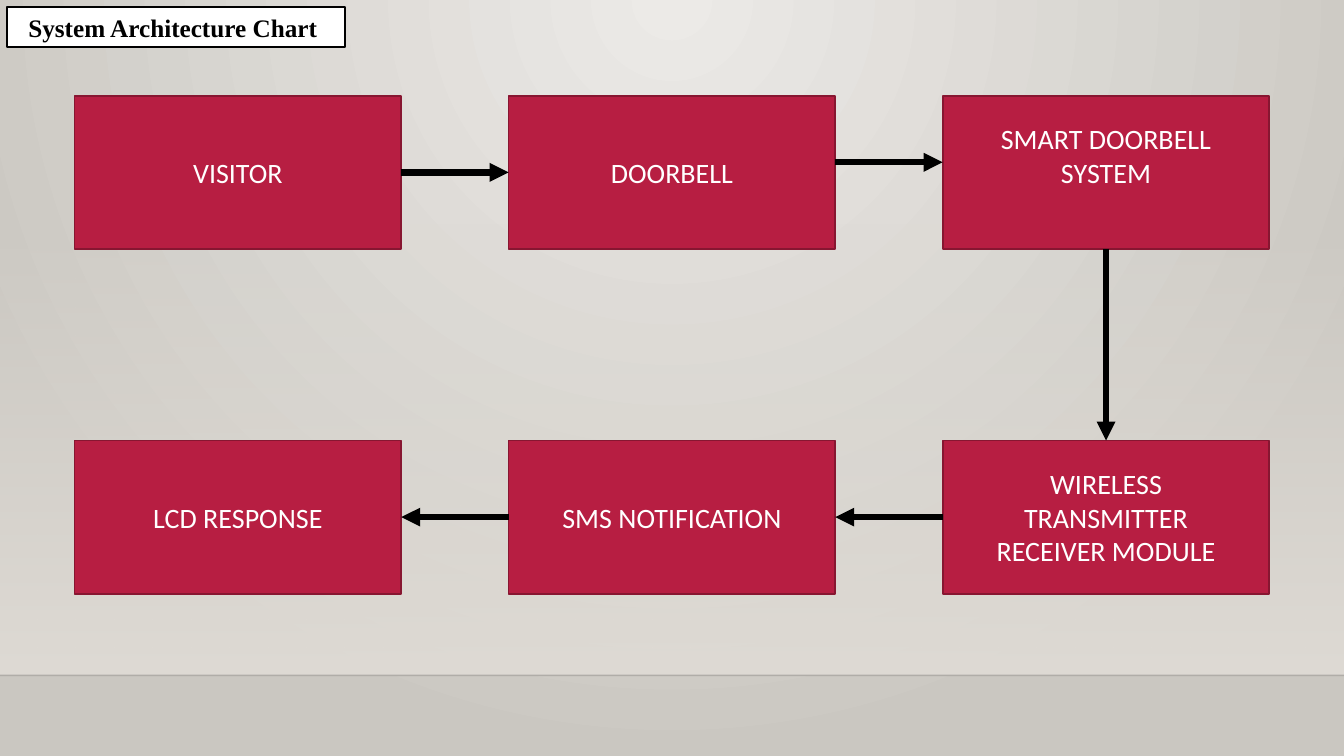
import pptx
import pptx.util
import pptx.dml.color
import pptx.enum.shapes
import pptx.enum.text
import pptx.oxml
import pptx.oxml.ns

Inches = pptx.util.Inches
Pt = pptx.util.Pt
RGBColor = pptx.dml.color.RGBColor
qn = pptx.oxml.ns.qn

CRIMSON = RGBColor(0xB7, 0x1E, 0x42)
DARK_CRIMSON = RGBColor(0x87, 0x16, 0x31)
WHITE = RGBColor(0xFF, 0xFF, 0xFF)
BLACK = RGBColor(0x00, 0x00, 0x00)
GLOW = RGBColor(0xEC, 0xEA, 0xE7)
STONE = RGBColor(0xCA, 0xC7, 0xC1)
WALL = RGBColor(0xDF, 0xDB, 0xD5)

TITLE = "System Architecture Chart "
STAGES = [
    (0, 0, ["VISITOR"], 0.05),
    (1, 0, ["DOORBELL"], 0.05),
    (2, 0, ["SMART DOORBELL", "SYSTEM"], 0.39),
    (2, 1, ["WIRELESS TRANSMITTER RECEIVER MODULE"], 0.05),
    (1, 1, ["SMS NOTIFICATION"], 0.05),
    (0, 1, ["LCD RESPONSE"], 0.05),
]
ARROW_LIFTS = [0, 0.1, 0, 0, 0]

SLIDE_WIDTH, SLIDE_HEIGHT = 13.33, 7.5
BOX_WIDTH, BOX_HEIGHT = 3.24, 1.52
LEFT, COLUMN_STEP = 0.74, 4.305
TOP, ROW_STEP = 0.95, 3.42
WALL_TOP, FLOOR_TOP = 2.21, 6.7


def apply_format(target, values):
    for name, value in values.items():
        setattr(target, name, value)


def write_text(frame, lines, frame_format, font_format, color):
    apply_format(frame, {"word_wrap": True, **frame_format})
    frame.vertical_anchor = pptx.enum.text.MSO_ANCHOR.MIDDLE
    for index, line in enumerate(lines):
        paragraph = frame.paragraphs[0] if index == 0 else frame.add_paragraph()
        paragraph.alignment = pptx.enum.text.PP_ALIGN.CENTER
        run = paragraph.add_run()
        run.text = line
        apply_format(run.font, font_format)
        run.font.color.rgb = color


def paint(shape, fill, line):
    shape.fill.solid()
    shape.fill.fore_color.rgb = fill
    shape.line.color.rgb = line
    shape.line.width = Pt(1.25)


def set_stops(fill, colors):
    fill.gradient()
    for stop, color in zip(fill.gradient_stops, colors):
        stop.color.rgb = color


def add_alpha(color_element, percent):
    alpha = pptx.oxml.parse_xml(
        f'<a:alpha {pptx.oxml.ns.nsdecls("a")} val="{percent * 1000}"/>')
    color_element.append(alpha)


def add_line(slide, start, end, width):
    connector = slide.shapes.add_connector(
        pptx.enum.shapes.MSO_CONNECTOR.STRAIGHT,
        *(Inches(length) for length in (*start, *end)))
    connector.line.color.rgb = BLACK
    connector.line.width = Pt(width)
    properties = connector.element.spPr
    properties.append(pptx.oxml.parse_xml(
        f'<a:effectLst {pptx.oxml.ns.nsdecls("a")}/>'))
    return connector


def add_rectangle(slide, left, top, width, height):
    shape = slide.shapes.add_shape(
        pptx.enum.shapes.MSO_SHAPE.RECTANGLE,
        *(Inches(length) for length in (left, top, width, height)))
    shape.shadow.inherit = False
    return shape


def add_backdrop(slide):
    set_stops(slide.background.fill, [GLOW, STONE])
    gradient = slide.element.find(".//" + qn("a:gradFill"))
    gradient.replace(gradient.find(qn("a:lin")), pptx.oxml.parse_xml(
        f'<a:path {pptx.oxml.ns.nsdecls("a")} path="circle">'
        '<a:fillToRect l="43000" t="0" r="43000" b="100000"/></a:path>'))

    wall = add_rectangle(slide, 0, WALL_TOP, SLIDE_WIDTH, FLOOR_TOP - WALL_TOP)
    set_stops(wall.fill, [WALL, WALL])
    wall.fill.gradient_angle = 270
    add_alpha(wall.element.find(".//" + qn("a:srgbClr")), 0)
    wall.line.fill.background()

    floor_edge = add_line(slide, (0, FLOOR_TOP), (SLIDE_WIDTH, FLOOR_TOP), 1)
    add_alpha(floor_edge.element.find(".//" + qn("a:srgbClr")), 20)


def add_title(slide):
    title = slide.shapes.title
    apply_format(title, {"left": Inches(0.07), "top": Inches(0.07),
                         "width": Inches(3.35), "height": Inches(0.4)})
    paint(title, WHITE, BLACK)
    write_text(title.text_frame, [TITLE], {},
               {"name": "Times New Roman", "size": Pt(18), "bold": True}, BLACK)


def add_stage(slide, column, row, lines, bottom_margin):
    box = add_rectangle(slide, LEFT + column * COLUMN_STEP, TOP + row * ROW_STEP,
                        BOX_WIDTH, BOX_HEIGHT)
    paint(box, CRIMSON, DARK_CRIMSON)
    margins = {"margin_left": Inches(0.3), "margin_right": Inches(0.3),
               "margin_bottom": Inches(bottom_margin)}
    write_text(box.text_frame, lines, margins,
               {"name": "Calibri", "size": Pt(20)}, WHITE)


def add_arrow(slide, source, target, lift):
    column_change = target[0] - source[0]
    row_change = target[1] - source[1]
    ends = []
    for (column, row), side in ((source, 1), (target, -1)):
        center_x = LEFT + column * COLUMN_STEP + BOX_WIDTH / 2
        center_y = TOP + row * ROW_STEP + BOX_HEIGHT / 2
        ends.append((center_x + side * column_change * BOX_WIDTH / 2,
                     center_y + side * row_change * BOX_HEIGHT / 2 - lift))
    arrow = add_line(slide, *ends, 4.5)
    arrow.element.spPr.find(qn("a:ln")).append(pptx.oxml.parse_xml(
        f'<a:tailEnd {pptx.oxml.ns.nsdecls("a")} type="triangle"/>'))


def main():
    presentation = pptx.Presentation()
    presentation.slide_width = Inches(SLIDE_WIDTH)
    presentation.slide_height = Inches(SLIDE_HEIGHT)
    slide = presentation.slides.add_slide(presentation.slide_layouts[5])
    add_backdrop(slide)
    add_title(slide)
    for stage in STAGES:
        add_stage(slide, *stage)
    cells = [stage[:2] for stage in STAGES]
    for source, target, lift in zip(cells, cells[1:], ARROW_LIFTS):
        add_arrow(slide, source, target, lift)
    presentation.save("out.pptx")


if __name__ == "__main__":
    main()
